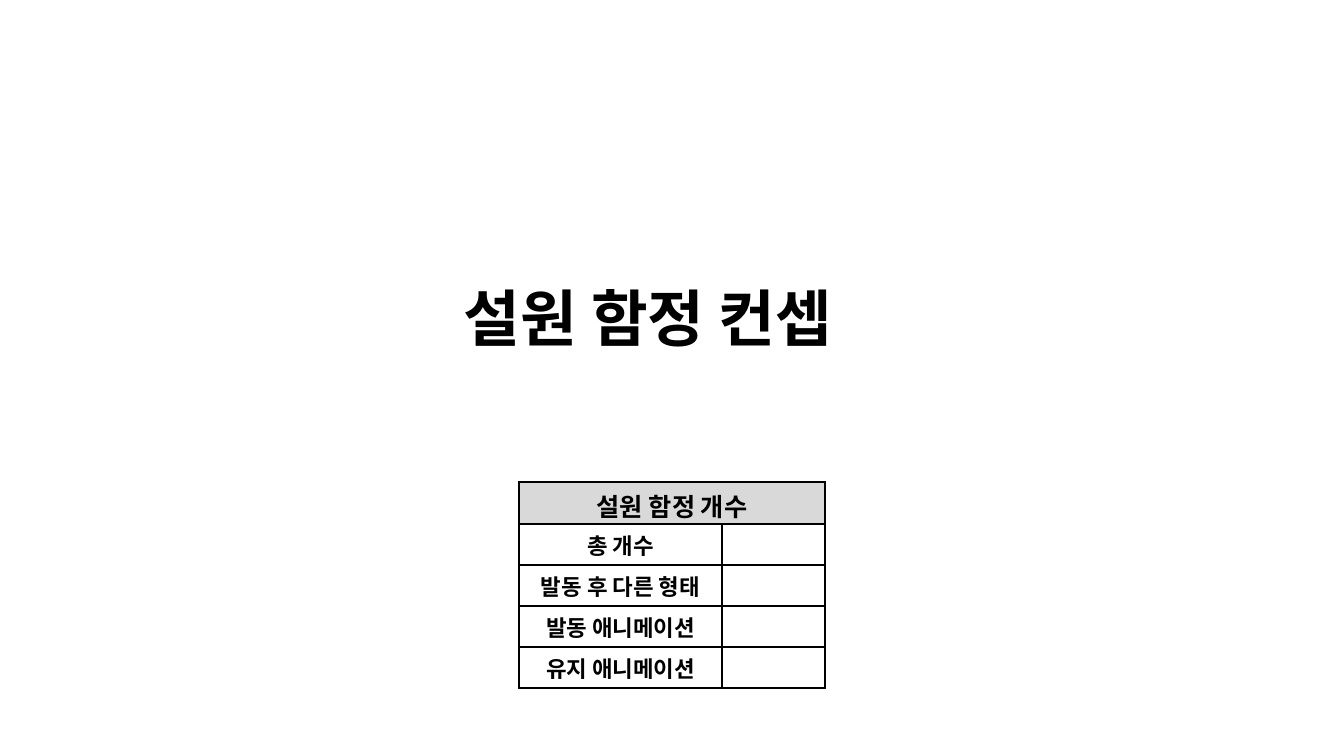
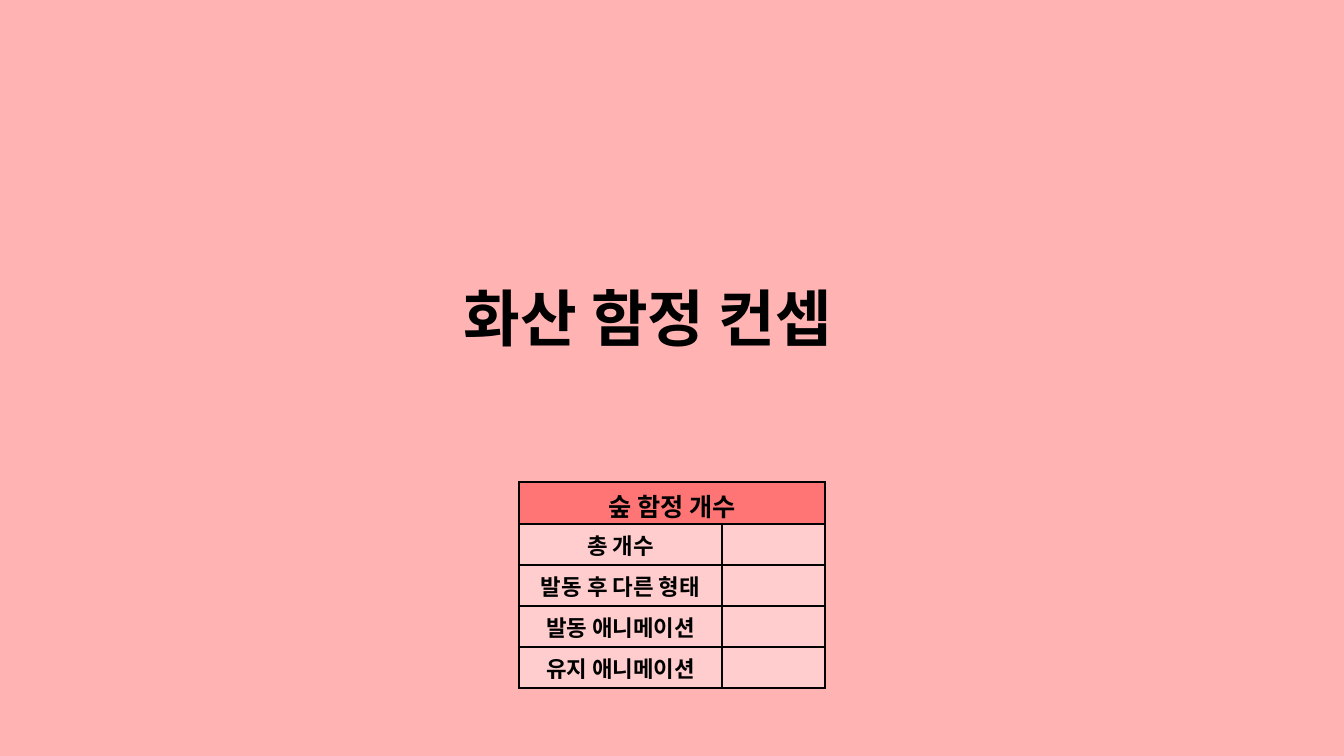
from dataclasses import dataclass

from lxml import etree
from pptx import Presentation, util as u
from pptx.dml.color import RGBColor
from pptx.enum import text
from pptx.oxml import ns

# Shared style
EMU_PER_PX = 914400 / 100.8
FONT = "Noto Sans CJK KR"
BLACK = "000000"
TITLE_PT, HEADER_PT, LABEL_PT, BORDER_PT = 44, 18, 16, 1.5
COLUMN_WIDTHS = (203, 103)
HEADER_HEIGHT, ROW_HEIGHT = 42, 41
COUNT_LABELS = ("총 개수", "발동 후 다른 형태", "발동 애니메이션", "유지 애니메이션")


@dataclass(frozen=True)
class TrapConcept:
    title: str
    count_header: str
    background: str
    header_fill: str
    row_fill: str


CONCEPTS = (
    TrapConcept("설원 함정 컨셉", "설원 함정 개수", "FFFFFF", "D9D9D9", "FFFFFF"),
    TrapConcept("화산 함정 컨셉", "숲 함정 개수", "FFB3B3", "FF7575", "FFCDCD"),
)


def px(length: int) -> u.Emu:
    return u.Emu(round(length * EMU_PER_PX))


def rgb(value: str) -> RGBColor:
    return RGBColor.from_string(value)


def paint(fill, color: str) -> None:
    fill.solid()
    fill.fore_color.rgb = rgb(color)


def style_paragraph(paragraph, size: int) -> None:
    font = paragraph.font
    font.name, font.size, font.bold = FONT, u.Pt(size), True
    font.color.rgb = rgb(BLACK)
    # Korean glyphs take the East Asian typeface
    latin = paragraph._p.pPr.find(ns.qn("a:defRPr")).find(ns.qn("a:latin"))
    east_asian = etree.Element(ns.qn("a:ea"), typeface=FONT)
    latin.addnext(east_asian)


def add_borders(cell) -> None:
    properties = cell._tc.get_or_add_tcPr()
    for position, side in enumerate(("lnL", "lnR", "lnT", "lnB")):
        line = etree.Element(ns.qn(f"a:{side}"), w=str(u.Pt(BORDER_PT)))
        solid = etree.SubElement(line, ns.qn("a:solidFill"))
        etree.SubElement(solid, ns.qn("a:srgbClr"), val=BLACK)
        properties.insert(position, line)


def fill_cell(cell, label: str, size: int, color: str) -> None:
    cell.text = label
    paragraph = cell.text_frame.paragraphs[0]
    paragraph.alignment = text.PP_ALIGN.CENTER
    style_paragraph(paragraph, size)
    paint(cell.fill, color)
    add_borders(cell)


def add_title(slide, title: str) -> None:
    frame = slide.shapes.add_textbox(px(454), px(275), px(437), px(85)).text_frame
    frame.word_wrap = False
    frame.auto_size = text.MSO_AUTO_SIZE.SHAPE_TO_FIT_TEXT
    frame.text = title
    frame.paragraphs[0].alignment = text.PP_ALIGN.LEFT
    style_paragraph(frame.paragraphs[0], TITLE_PT)


def add_count_table(slide, concept: TrapConcept) -> None:
    heights = (HEADER_HEIGHT,) + (ROW_HEIGHT,) * len(COUNT_LABELS)
    counts = slide.shapes.add_table(
        len(heights), len(COLUMN_WIDTHS), px(519), px(482),
        px(sum(COLUMN_WIDTHS)), px(sum(heights))).table
    for column, width in zip(counts.columns, COLUMN_WIDTHS):
        column.width = px(width)
    for row, height in zip(counts.rows, heights):
        row.height = px(height)

    # Header across both columns, then a label and an empty count per row
    counts.cell(0, 0).merge(counts.cell(0, 1))
    for column, label in enumerate((concept.count_header, "")):
        fill_cell(counts.cell(0, column), label, HEADER_PT, concept.header_fill)
    for row, label in enumerate(COUNT_LABELS, start=1):
        for column, content in enumerate((label, "")):
            fill_cell(counts.cell(row, column), content, LABEL_PT, concept.row_fill)


def main() -> None:
    deck = Presentation()
    deck.slide_width, deck.slide_height = px(1344), px(756)
    for concept in CONCEPTS:
        slide = deck.slides.add_slide(deck.slide_layouts[6])
        paint(slide.background.fill, concept.background)
        add_title(slide, concept.title)
        add_count_table(slide, concept)
    deck.save("out.pptx")


if __name__ == "__main__":
    main()
